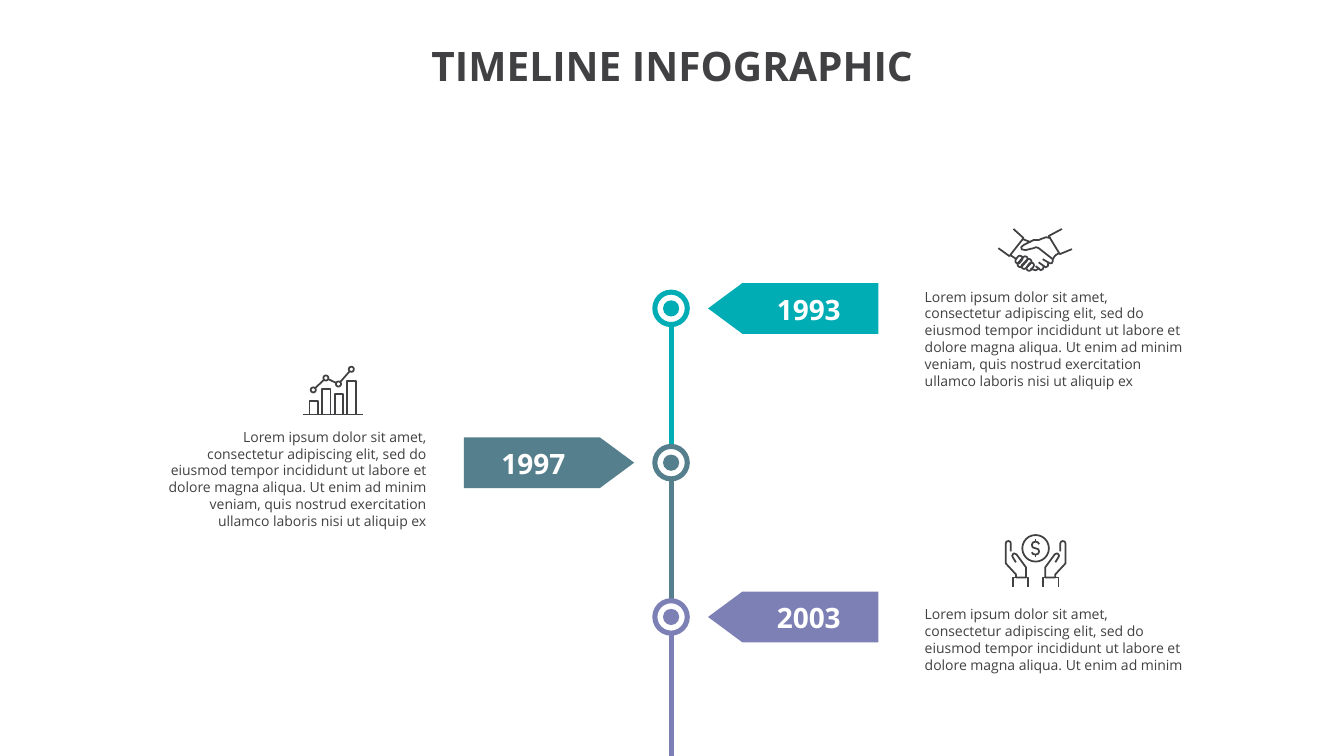
from math import atan2, cos, hypot, pi, sin

from lxml import etree
from pptx import Presentation
from pptx import util as u
from pptx.dml.color import RGBColor
from pptx.enum import shapes, text
from pptx.oxml.ns import qn

COLORS = {"teal": "00ADB5", "slate": "557F8C", "violet": "7D80B5",
          "ink": "414042", "white": "FFFFFF"}
SHORT = ("Lorem ipsum dolor sit amet, consectetur adipiscing elit, sed do eiusmod "
         "tempor incididunt ut labore et dolore magna aliqua. Ut enim ad minim")
LONG = SHORT + " veniam, quis nostrud exercitation ullamco laboris nisi ut aliquip ex"
LEFT, CENTER, RIGHT = text.PP_ALIGN.LEFT, text.PP_ALIGN.CENTER, text.PP_ALIGN.RIGHT
AXIS, FIRST, PITCH, BOTTOM = 479.6, 220.3, 110.2, 540
RING, DOT, STROKE = 11.6, 5.8, 3.63


def arc(x, y, radius, start=0.0, sweep=2 * pi, steps=24):
    return [(x + radius * cos(start + sweep * i / steps),
             y + radius * sin(start + sweep * i / steps)) for i in range(steps + 1)]


def finger(x1, y1, x2, y2, radius=1.85):
    side = atan2(y2 - y1, x2 - x1) - pi / 2
    outline = arc(x2, y2, radius, side, pi, 8) + arc(x1, y1, radius, side + pi, pi, 8)
    return outline + outline[:1]


def chart_icon():
    dots = [(7.2, 16.4), (16.2, 7.9), (25.2, 12.2), (34.4, 1.7)]
    base, radius = 33.9, 1.8
    strokes = [[(0, base), (42.5, base)]]
    for i, top in enumerate((24.5, 15.8, 19.4, 10.1)):
        x = 4.5 + 9 * i
        strokes.append([(x, base), (x, top), (x + 6, top), (x + 6, base)])
    strokes += [arc(x, y, radius) for x, y in dots]
    for (x1, y1), (x2, y2) in zip(dots, dots[1:]):
        part = radius / hypot(x2 - x1, y2 - y1)
        dx, dy = (x2 - x1) * part, (y2 - y1) * part
        strokes.append([(x1 + dx, y1 + dy), (x2 - dx, y2 - dy)])
    return strokes


def coin_icon():
    middle = 21.3
    hand = [(7.2, 19.4), (5, 15.8), (4.6, 14.6), (5.2, 13.4), (6, 13), (7.6, 13.7),
            (14.4, 23), (14.4, 30.2), (7.2, 30.2), (7.2, 28), (0, 20.2), (0, 5.8),
            (0.5, 4.6), (1.9, 4.2), (3.2, 4.7), (3.6, 5.8), (3.6, 11.5)]
    cuff = [(15.8, 36.7), (15.8, 30.2), (5, 30.2), (5, 36.7)]
    dollar = [(18.6, 12.2), (19.4, 13.4), (21.3, 13.9), (23.2, 13.2), (23.8, 11.6),
              (23.2, 10), (21.3, 9.4), (19.2, 8.7), (18.6, 7), (19.3, 5.3),
              (21.3, 4.6), (23, 5.2), (23.8, 6.5)]
    mirrored = [[(2 * middle - x, y) for x, y in line] for line in (hand, cuff)]
    ticks = [[(middle, y), (middle, y + 1.6)] for y in (2.9, 13.7)]
    return [hand, cuff, *mirrored, arc(middle, 9.4, 9.5), dollar, *ticks]


def handshake_icon():
    return [
        finger(15.4, 21, 14, 22.8), finger(19.1, 21.4, 15.6, 25.4),
        finger(21.8, 23.3, 18.4, 26.7), finger(23.6, 25.9, 22, 28),
        [(31.7, 21.6), (36.7, 24.5), (38.2, 24.5), (38.9, 23), (38.9, 21.6)],
        [(28.8, 23.8), (31.7, 25.9), (33.8, 27.4), (35.3, 26.6), (35.6, 25.5), (35.3, 24.5)],
        [(26.6, 26.6), (28.8, 28.1), (30.2, 29.5), (31.7, 28.8), (32.4, 27), (31.9, 26.4)],
        [(23, 28.1), (24.5, 28.9), (26.6, 29.5), (28.1, 28.8), (28.8, 28.1)],
        [(45.4, 0), (36, 5), (43.9, 18), (52.6, 14.4)],
        [(37.4, 6.5), (34, 5.9), (31.5, 6.8), (28.8, 7.9), (25.2, 7.9), (18, 11.5),
         (16.3, 13), (16.8, 14.6), (19.4, 15.1), (25.2, 13.7), (27, 13), (28.8, 13.7),
         (38.9, 21.6)],
        [(43.2, 17.3), (41, 18.7), (40.3, 19.4), (38.9, 21.6)],
        [(0, 13.7), (7.9, 19.4), (18, 6.5), (10.8, 0)],
        [(8.6, 18.7), (13, 21.6)],
        [(23, 9.4), (17.3, 7.2)],
    ]


class Timeline:
    """Draws timeline elements on one slide in a shared style."""

    def __init__(self, page):
        self.page = page
        self.font = "Open Sans"

    def color(self, name):
        return RGBColor.from_string(COLORS[name])

    def paint(self, shape, fill=None, line=None, width=STROKE):
        shape.shadow.inherit = False
        if fill:
            shape.fill.solid()
            shape.fill.fore_color.rgb = self.color(fill)
        else:
            shape.fill.background()
        if line:
            shape.line.color.rgb = self.color(line)
            shape.line.width = u.Pt(width)
        else:
            shape.line.fill.background()

    def words(self, content, left, top, width, height, size, color="ink",
              align=CENTER, bold=False, wrap=False, inset=(0, 0)):
        box = self.page.shapes.add_textbox(*map(u.Pt, (left, top, width, height)))
        frame = box.text_frame
        across, down = map(u.Pt, inset)
        settings = {"word_wrap": wrap, "margin_left": across, "margin_right": across,
                    "margin_top": down, "margin_bottom": down}
        for name, value in settings.items():
            setattr(frame, name, value)
        para = frame.paragraphs[0]
        para.alignment = align
        span = para.add_run()
        span.text = content
        for name, value in {"name": self.font, "size": u.Pt(size), "bold": bold}.items():
            setattr(span.font, name, value)
        span.font.color.rgb = self.color(color)

    def body(self, content, left, top, height, align):
        self.words(content, left, top, 199.4, height, 10, align=align, wrap=True,
                   inset=(7.2, 3.6))

    def stem(self, top, bottom, color):
        line = self.page.shapes.add_connector(
            shapes.MSO_CONNECTOR.STRAIGHT, *map(u.Pt, (AXIS, top, AXIS, bottom)))
        line.line.color.rgb = self.color(color)
        line.line.width = u.Pt(STROKE)
        etree.SubElement(line._element.spPr, qn("a:effectLst"))

    def disc(self, middle, radius, **style):
        shape = self.page.shapes.add_shape(
            shapes.MSO_SHAPE.OVAL,
            *map(u.Pt, (AXIS - radius, middle - radius, 2 * radius, 2 * radius)))
        self.paint(shape, **style)

    def outline(self, strokes, left, top, **style):
        points = [[(u.Pt(left + x), u.Pt(top + y)) for x, y in line] for line in strokes]
        builder = self.page.shapes.build_freeform(*points[0][0])
        for i, line in enumerate(points):
            if i:
                builder.move_to(*line[0])
            builder.add_line_segments(line[1:], close=line[0] == line[-1])
        self.paint(builder.convert_to_shape(), **style)

    def tag(self, year, middle, side, color):
        tip, half = AXIS + side * 26.4, 18.1
        corners = [(0, 0), (24.5, -half), (121.7, -half), (121.7, half), (24.5, half), (0, 0)]
        self.outline([[(side * x, y) for x, y in corners]], tip, middle, fill=color)
        self.words(year, tip + side * 72 - 23, middle - 11.7, 46, 23.8, 20, "white", bold=True)


def main():
    deck = Presentation()
    deck.slide_width, deck.slide_height = u.Pt(960.48), u.Pt(BOTTOM)
    art = Timeline(deck.slides.add_slide(deck.slide_layouts[6]))
    events = [("1993", 1, "teal"), ("1997", -1, "slate"), ("2003", 1, "violet")]
    middles = [FIRST + PITCH * i for i in range(len(events))]
    ends = [middle - RING for middle in middles[1:]] + [BOTTOM]
    for (year, side, color), middle, end in zip(events, middles, ends):
        art.stem(middle + RING, end, color)
        art.disc(middle, DOT, fill=color)
        art.disc(middle, RING, line=color)
        art.tag(year, middle, side, color)
    for strokes, left, top in [(handshake_icon(), 713.5, 163.6), (chart_icon(), 216.7, 262.1),
                               (coin_icon(), 718.8, 382.3)]:
        art.outline(strokes, left, top, line="ink", width=1.25)
    art.words("TIMELINE INFOGRAPHIC", 308.2, 29.5, 344.9, 34.6, 29, bold=True)
    art.body(LONG, 112.3, 302.4, 79.2, RIGHT)
    art.body(LONG, 653.8, 202.3, 79.2, LEFT)
    art.body(SHORT, 653.8, 429.1, 55.4, LEFT)
    deck.save("out.pptx")


if __name__ == "__main__":
    main()
